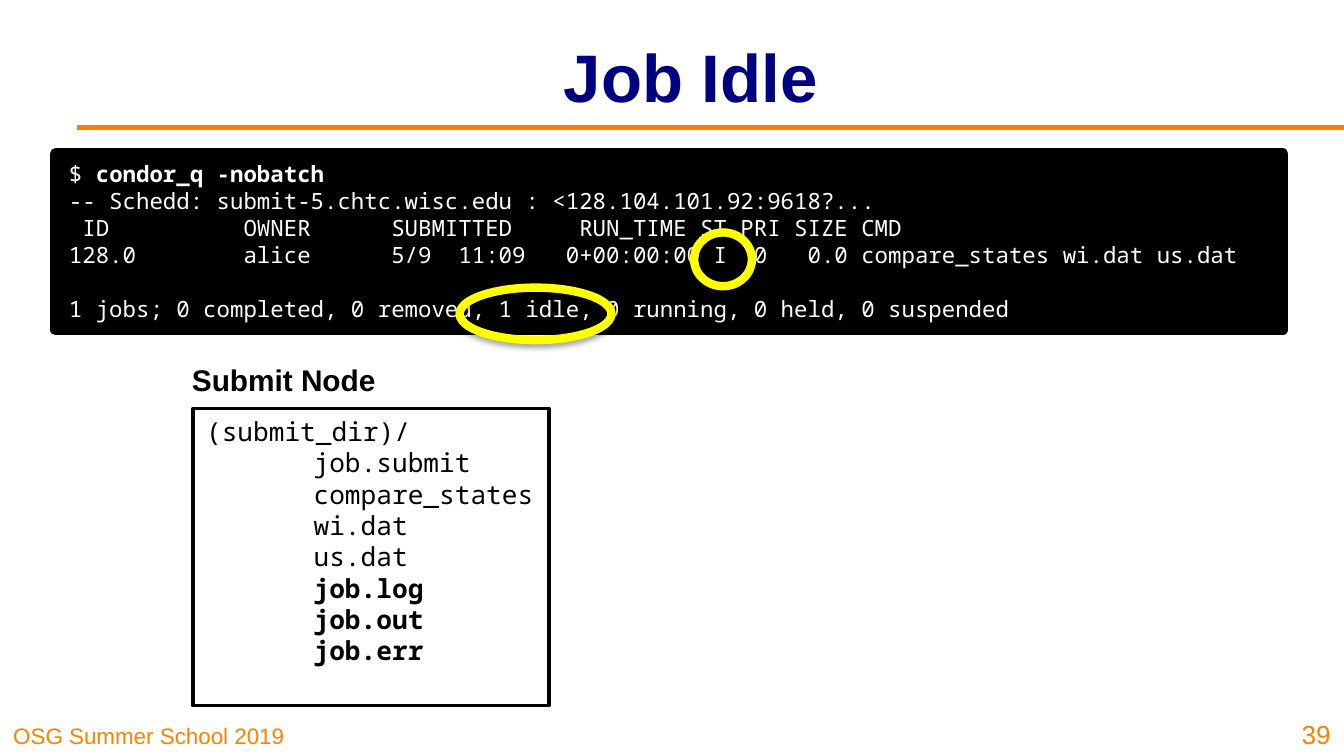
from lxml import etree
from pptx import Presentation
from pptx import util as u
from pptx.dml.color import RGBColor
from pptx.enum import shapes, text
from pptx.oxml import parse_xml
from pptx.oxml.ns import qn

COLORS = {"orange": "FF8000", "navy": "000080", "black": "000000",
          "white": "FFFFFF", "yellow": "FFFF00"}
SANS, MONO = "Arial", "Noto Sans Mono"
DRAWING = "http://schemas.openxmlformats.org/drawingml/2006/main"

deck = Presentation()
deck.slide_width = u.Inches(10)
deck.slide_height = deck.slide_width * 9 // 16
page = deck.slides.add_slide(deck.slide_layouts[5])
cell = deck.slide_width / 100  # square grid, 100 columns wide


def grid(*cells):
    return [round(cell * count) for count in cells]


def add_span(para, words, font, size, color, bold=False):
    span = para.add_run()
    span.text = words
    span.font.name, span.font.size, span.font.bold = font, u.Pt(size), bold
    span.font.color.rgb = RGBColor.from_string(COLORS[color])


# Title
title = page.shapes.title
title.left, title.top, title.width, title.height = grid(13.4, 0.9, 76, 9.4)
title.text_frame.vertical_anchor = text.MSO_ANCHOR.MIDDLE
title.text_frame.paragraphs[0].alignment = text.PP_ALIGN.CENTER
add_span(title.text_frame.paragraphs[0], "Job Idle", SANS, 36, "navy", True)

# Rule under the title
rule = page.shapes.add_connector(shapes.MSO_CONNECTOR.STRAIGHT, *grid(5.7, 9.5, 100, 9.5))
rule.line.color.rgb = RGBColor.from_string(COLORS["orange"])
rule.line.width = u.Pt(3)
etree.SubElement(rule._element.spPr, qn("a:effectLst"))

# Directory and terminal panels
panels = []
for place, fill, width in [((14.35, 30.4, 26.5, 22.1), "white", 2),
                           ((4.15, 11.45, 91.3, 13.1), "black", 6)]:
    box = page.shapes.add_shape(shapes.MSO_SHAPE.RECTANGLE, *grid(*place))
    box.shadow.inherit = False
    box.fill.solid()
    box.fill.fore_color.rgb = RGBColor.from_string(COLORS[fill])
    box.line.color.rgb = RGBColor.from_string(COLORS["black"])
    box.line.width = u.Pt(width)
    box.text_frame.word_wrap = True
    box.text_frame.vertical_anchor = text.MSO_ANCHOR.TOP
    panels.append(box.text_frame)
directory, terminal = panels

# Files in the submit directory, on one tab stop
files = ["(submit_dir)/", "\tjob.submit", "\tcompare_states", "\twi.dat",
         "\tus.dat", "\tjob.log", "\tjob.out", "\tjob.err"]
for index, name in enumerate(files):
    para = directory.add_paragraph() if index else directory.paragraphs[0]
    para.alignment = text.PP_ALIGN.LEFT
    stops = etree.SubElement(para._p.get_or_add_pPr(), qn("a:tabLst"))
    etree.SubElement(stops, qn("a:tab"), pos=str(grid(8)[0]), algn="l")
    add_span(para, name, MONO, 14, "black", index > 4)

# Terminal output
output = [
    [("$ ", False), ("condor_q -nobatch", True)],
    [("-- Schedd: submit-5.chtc.wisc.edu : <128.104.101.92:9618?...", False)],
    [(" ID          OWNER      SUBMITTED     RUN_TIME ST PRI SIZE CMD", False)],
    [("128.0        alice      5/9  11:09   0+00:00:00 I  0   0.0 "
      "compare_states wi.dat us.dat", False)],
    [("1 jobs; 0 completed, 0 removed, 1 idle, 0 running, 0 held, 0 suspended", False)],
]
for index, line in enumerate(output):
    para = terminal.add_paragraph() if index else terminal.paragraphs[0]
    para.alignment = text.PP_ALIGN.LEFT
    for words, bold in line:
        add_span(para, words, MONO, 12, "white", bold)
para.space_before = u.Pt(14.4)  # one line of gap before the summary

# Rings around the idle state and the idle count
for place in [(51.65, 17.3, 4.3, 4), (34.2, 21.4, 11.3, 3.9)]:
    ring = page.shapes.add_shape(shapes.MSO_SHAPE.OVAL, *grid(*place))
    ring.shadow.inherit = False
    ring.fill.background()
    ring.line.color.rgb = RGBColor.from_string(COLORS["yellow"])
    ring.line.width = u.Pt(4.5)
    ring._element.spPr.find(qn("a:effectLst")).append(parse_xml(
        f'<a:outerShdw xmlns:a="{DRAWING}" blurRad="{u.Pt(3.1)}" dist="{u.Pt(1.8)}" '
        f'dir="5400000" rotWithShape="0"><a:srgbClr val="{COLORS["black"]}">'
        '<a:alpha val="35000"/></a:srgbClr></a:outerShdw>'))

# Panel label, footer and page number
left, right = text.PP_ALIGN.LEFT, text.PP_ALIGN.RIGHT
middle, bottom = text.MSO_ANCHOR.MIDDLE, text.MSO_ANCHOR.BOTTOM
for place, words, size, color, bold, align, anchor in [
    ((13.3, 26.1, 16.8, 4.3), "Submit Node", 16, "black", True, left, middle),
    ((0, 53.15, 24.8, 3.1), "OSG Summer School 2019", 12, "orange", False, left, bottom),
    ((95.4, 52.5, 4.6, 3.8), "39", 14, "orange", False, right, bottom),
]:
    box = page.shapes.add_textbox(*grid(*place))
    box.text_frame.word_wrap = True
    box.text_frame.vertical_anchor = anchor
    box.text_frame.paragraphs[0].alignment = align
    add_span(box.text_frame.paragraphs[0], words, SANS, size, color, bold)

deck.save("out.pptx")
